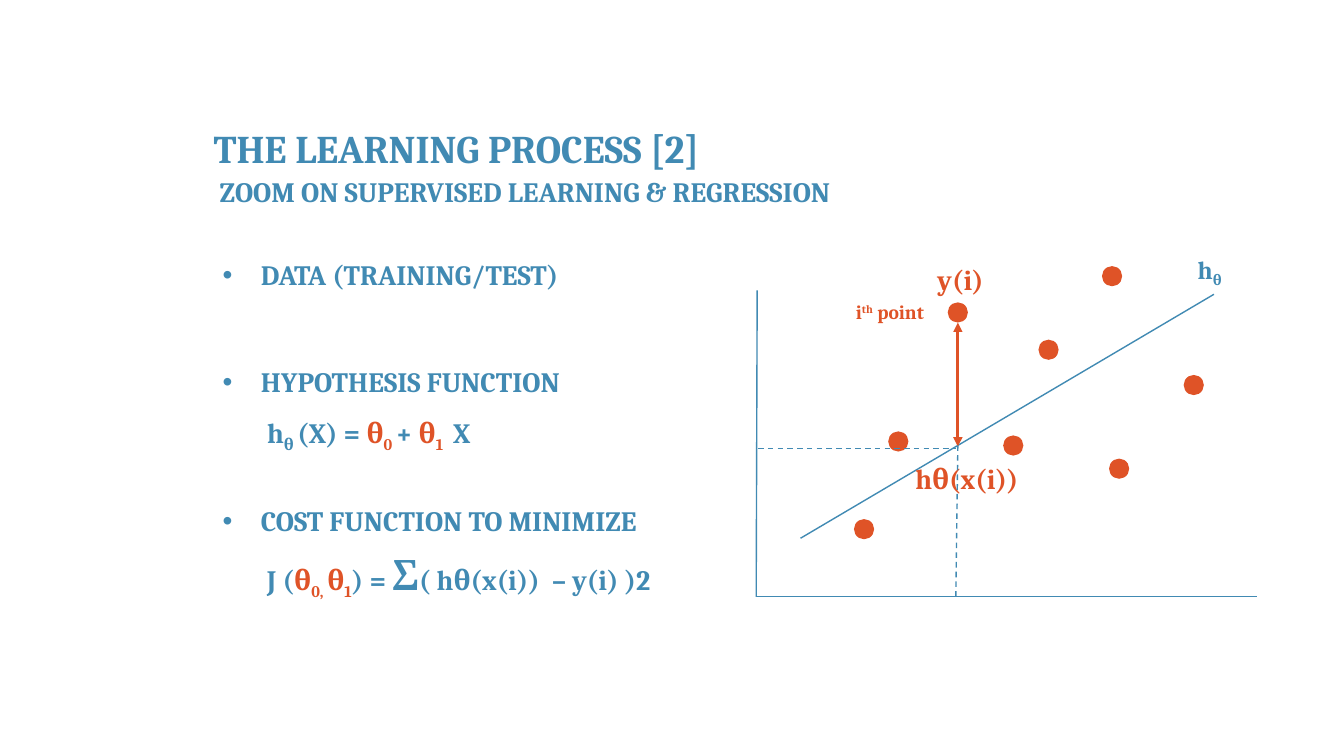
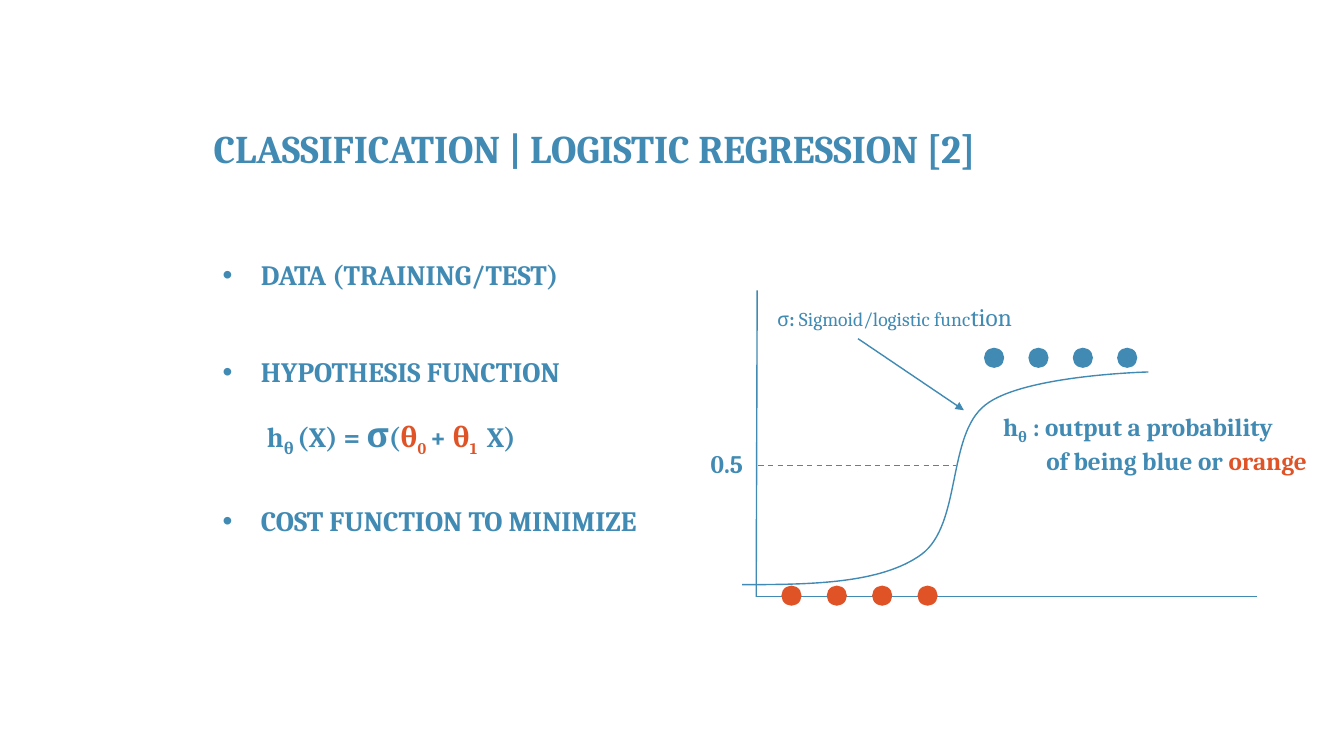
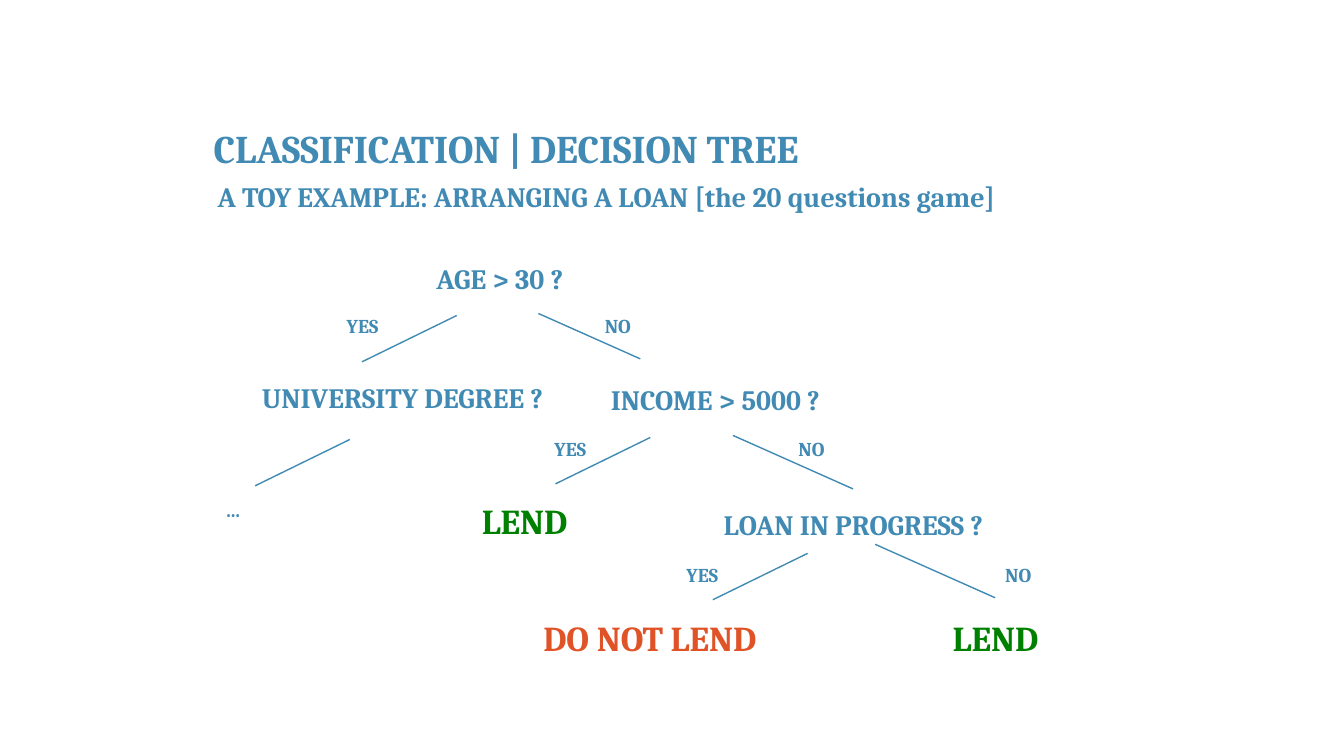
"""Build three slides on regression, logistic regression and decision trees."""
from dataclasses import dataclass
from typing import NamedTuple

from lxml import etree
from pptx import Presentation
from pptx import slide as s
from pptx import util as u
from pptx.dml.color import RGBColor
from pptx.enum import dml, shapes
from pptx.oxml.ns import qn
from pptx.shapes import shapetree

PX = 9144
FONT = "Cambria"
COLOURS = {"blue": "418AB3", "orange": "DF5327", "green": "008000"}
BOX_HEIGHTS = {14: 34, 18: 40, 20: 44, 25: 52, 28: 57, 30: 61}
EXTRA_LINE = 31
BULLET_INDENT = 38
DOT_SIZE = 20

Canvas = shapetree.SlideShapes | shapetree.GroupShapes


class Run(NamedTuple):
    words: str
    colour: str | None = None
    size: int | None = None
    baseline: int = 0
    bold: bool = True


class Point(NamedTuple):
    x: int
    y: int


class Label(NamedTuple):
    words: str
    x: int
    y: int
    width: int
    size: int = 20
    colour: str = "blue"


@dataclass(frozen=True)
class Line:
    start: Point
    end: Point
    colour: str = "blue"
    width: float = 1
    dashed: bool = False
    head: bool = False
    tail: bool = False


class Branch(NamedTuple):
    x: int
    y: int
    dx: int = -94
    dy: int = 46


def rgb(name: str) -> RGBColor:
    return RGBColor.from_string(COLOURS[name])


def sub(words: str, colour: str | None = None) -> Run:
    return Run(words, colour, baseline=-25)


def put_text(page: s.Slide, x: int, y: int, width: int, *paragraphs: str | list[Run],
             size: int = 20, colour: str = "blue", wrap: bool = True,
             bullet: bool = False, last_indent: int = 0) -> None:
    lines = [[Run(p)] if isinstance(p, str) else p for p in paragraphs]
    largest = max(run.size or size for line in lines for run in line)
    height = BOX_HEIGHTS[largest] + EXTRA_LINE * (len(lines) - 1)
    frame = page.shapes.add_textbox(x * PX, y * PX, width * PX, height * PX).text_frame
    frame.word_wrap = wrap
    for index, line in enumerate(lines):
        paragraph = frame.add_paragraph() if index else frame.paragraphs[0]
        for part in line:
            run = paragraph.add_run()
            run.text = part.words
            run.font.name = FONT
            run.font.size = u.Pt(part.size or size)
            run.font.bold = part.bold
            run.font.color.rgb = rgb(part.colour or colour)
            if part.baseline:
                run._r.get_or_add_rPr().set("baseline", str(part.baseline * 1000))
    properties = paragraph._p.get_or_add_pPr()
    if last_indent:
        properties.set("marL", str(last_indent * PX))
    if bullet:
        properties.set("marL", str(BULLET_INDENT * PX))
        properties.set("indent", str(-BULLET_INDENT * PX))
        etree.SubElement(properties, qn("a:buFont")).set("typeface", "Arial")
        etree.SubElement(properties, qn("a:buChar")).set("char", "•")


def put_label(page: s.Slide, label: Label) -> None:
    put_text(page, label.x, label.y, label.width, label.words,
             size=label.size, colour=label.colour)


def draw_line(canvas: Canvas, line: Line) -> None:
    connector = canvas.add_connector(
        shapes.MSO_CONNECTOR.STRAIGHT, *(v * PX for v in (*line.start, *line.end)))
    connector.line.color.rgb = rgb(line.colour)
    connector.line.width = u.Pt(line.width)
    if line.dashed:
        connector.line.dash_style = dml.MSO_LINE.DASH
    outline = connector.line._get_or_add_ln()
    for tag, wanted in (("a:headEnd", line.head), ("a:tailEnd", line.tail)):
        if wanted:
            etree.SubElement(outline, qn(tag)).set("type", "triangle")
    etree.SubElement(connector._element.spPr, qn("a:effectLst"))


def draw_dots(page: s.Slide, corners: list[Point], colour: str) -> None:
    for corner in corners:
        dot = page.shapes.add_shape(shapes.MSO_SHAPE.OVAL, corner.x * PX, corner.y * PX,
                                    DOT_SIZE * PX, DOT_SIZE * PX)
        dot.shadow.inherit = False
        dot.fill.solid()
        dot.fill.fore_color.rgb = rgb(colour)
        dot.line.fill.background()


def draw_axes(page: s.Slide) -> None:
    axes = page.shapes.add_group_shape().shapes
    origin = Point(750, 592)
    for end in (Point(751, 288), Point(1247, 592)):
        draw_line(axes, Line(origin, end))


def draw_curve(page: s.Slide, start: Point, controls: list[Point]) -> None:
    builder = page.shapes.build_freeform(*start, scale=PX)
    builder.add_line_segments(controls, close=False)
    curve = builder.convert_to_shape()
    curve.shadow.inherit = False
    curve.fill.background()
    curve.line.color.rgb = rgb("blue")
    curve.line.width = u.Pt(1)
    outline = next(curve._element.iter(qn("a:path")))
    segments = outline.findall(qn("a:lnTo"))
    for first in range(0, len(segments), 3):
        bezier = etree.SubElement(outline, qn("a:cubicBezTo"))
        for segment in segments[first:first + 3]:
            bezier.append(segment[0])
            outline.remove(segment)


def add_page(deck, title: str, subtitle: Label | None = None) -> s.Slide:
    page = deck.slides.add_slide(deck.slide_layouts[6])
    put_text(page, 202, 118, 951, title, size=28)
    if subtitle:
        put_label(page, subtitle)
    return page


def put_steps(page: s.Slide, hypothesis_y: int) -> None:
    steps = {"DATA (TRAINING/TEST)": 251, "HYPOTHESIS FUNCTION": hypothesis_y,
             "COST FUNCTION TO MINIMIZE": 495}
    for step, y in steps.items():
        put_text(page, 211, y, 1084, step, bullet=True)


def hypothesis(opening: list[Run], closing: str) -> list[Run]:
    return [Run("h"), sub("θ "), Run("(X) = "), *opening,
            Run("θ", "orange"), sub("0 ", "orange"), Run("+ "),
            Run("θ", "orange"), sub("1 ", "orange"), Run(closing)]


def build_regression(deck) -> None:
    page = add_page(deck, "THE LEARNING PROCESS [2]",
                    Label("ZOOM ON SUPERVISED LEARNING & REGRESSION", 208, 168, 979))
    draw_line(page.shapes, Line(Point(794, 534), Point(1204, 292)))
    draw_axes(page)
    draw_dots(page, [Point(881, 428), Point(847, 515), Point(995, 432), Point(1030, 337),
                     Point(1100, 455), Point(940, 300), Point(1174, 372),
                     Point(1093, 264)], "orange")
    put_text(page, 1178, 247, 45, [Run("h"), sub("θ")], size=18, wrap=False)
    put_text(page, 839, 293, 92, [Run("i"), Run("th", baseline=30), Run(" point")],
             size=14, colour="orange", wrap=False)
    draw_line(page.shapes, Line(Point(950, 443), Point(950, 320), "orange", 2.25,
                                head=True, tail=True))
    put_text(page, 898, 453, 123, "hθ(x(i))", colour="orange", wrap=False)
    put_text(page, 920, 256, 67, "y(i)", colour="orange", wrap=False)
    draw_line(page.shapes, Line(Point(948, 592), Point(950, 442), dashed=True))
    draw_line(page.shapes, Line(Point(752, 445), Point(948, 445), dashed=True))
    put_steps(page, 357)
    put_text(page, 255, 407, 228, hypothesis([], " X"), wrap=False)
    cost = [Run("J ("), Run("θ", "orange"), sub("0, ", "orange"), Run("θ", "orange"),
            sub("1", "orange"), Run(") = "), Run("Σ", size=30),
            Run("( hθ(x(i))  – y(i) )2")]
    put_text(page, 255, 539, 407, cost, wrap=False)


def build_logistic(deck) -> None:
    page = add_page(deck, "CLASSIFICATION | LOGISTIC REGRESSION [2]")
    put_steps(page, 347)
    put_text(page, 255, 404, 273, hypothesis([Run("σ", size=25), Run("(")], " X)"),
             wrap=False)
    draw_axes(page)
    draw_dots(page, [Point(775 + 45 * i, 581) for i in range(4)], "orange")
    draw_dots(page, [Point(976 + 44 * i, 345) for i in range(4)], "blue")
    put_text(page, 985, 403, 333,
             [Run("h"), sub("θ"), Run(" : output a probability")],
             [Run("of being blue or "), Run("orange", "orange")],
             size=18, wrap=False, last_indent=43)
    draw_curve(page, Point(736, 580),
               [Point(805, 580), Point(874, 579), Point(914, 550),
                Point(954, 520), Point(939, 432), Point(977, 402),
                Point(1014, 372), Point(1139, 369), Point(1139, 369)])
    draw_line(page.shapes, Line(Point(752, 462), Point(948, 462), dashed=True))
    put_text(page, 695, 440, 56, "0.5", size=18, wrap=False)
    draw_line(page.shapes, Line(Point(851, 336), Point(956, 407), tail=True))
    put_text(page, 761, 294, 267,
             [Run("σ", bold=False), Run(": "), Run("Sigmoid/logistic func", bold=False),
              Run("tion", size=18, bold=False)], size=14, wrap=False)


def build_tree(deck) -> None:
    page = add_page(deck, "CLASSIFICATION | DECISION TREE",
                    Label("A TOY EXAMPLE: ARRANGING A LOAN [the 20 questions game]",
                          206, 173, 1084))
    questions = [Label("AGE > 30 ?", 423, 255, 177),
                 Label("UNIVERSITY DEGREE ?", 250, 373, 337),
                 Label("INCOME > 5000 ?", 596, 375, 260),
                 Label("LOAN IN PROGRESS ?", 708, 499, 313)]
    answers = [Label(words, x, y, 65, 14) for words, x, y in
               (("YES", 334, 307), ("NO", 590, 307), ("YES", 540, 429),
                ("NO", 782, 429), ("YES", 671, 554), ("NO", 987, 554), ("…", 214, 489))]
    decisions = [Label("LEND", 468, 491, 148, 25, "green"),
                 Label("DO NOT LEND", 529, 607, 433, 25, "orange"),
                 Label("LEND", 935, 607, 148, 25, "green")]
    for label in questions + answers + decisions:
        put_label(page, label)
    branches = [Branch(453, 313), Branch(347, 436), Branch(645, 434), Branch(801, 549),
                Branch(534, 311, 101, 45), Branch(727, 432, 119, 53),
                Branch(868, 540, 119, 53)]
    for branch in branches:
        draw_line(page.shapes, Line(Point(branch.x, branch.y),
                                    Point(branch.x + branch.dx, branch.y + branch.dy)))


def main() -> None:
    deck = Presentation()
    deck.slide_width, deck.slide_height = u.Emu(1333 * PX), u.Emu(750 * PX)
    for build in (build_regression, build_logistic, build_tree):
        build(deck)
    deck.save("out.pptx")


if __name__ == "__main__":
    main()
